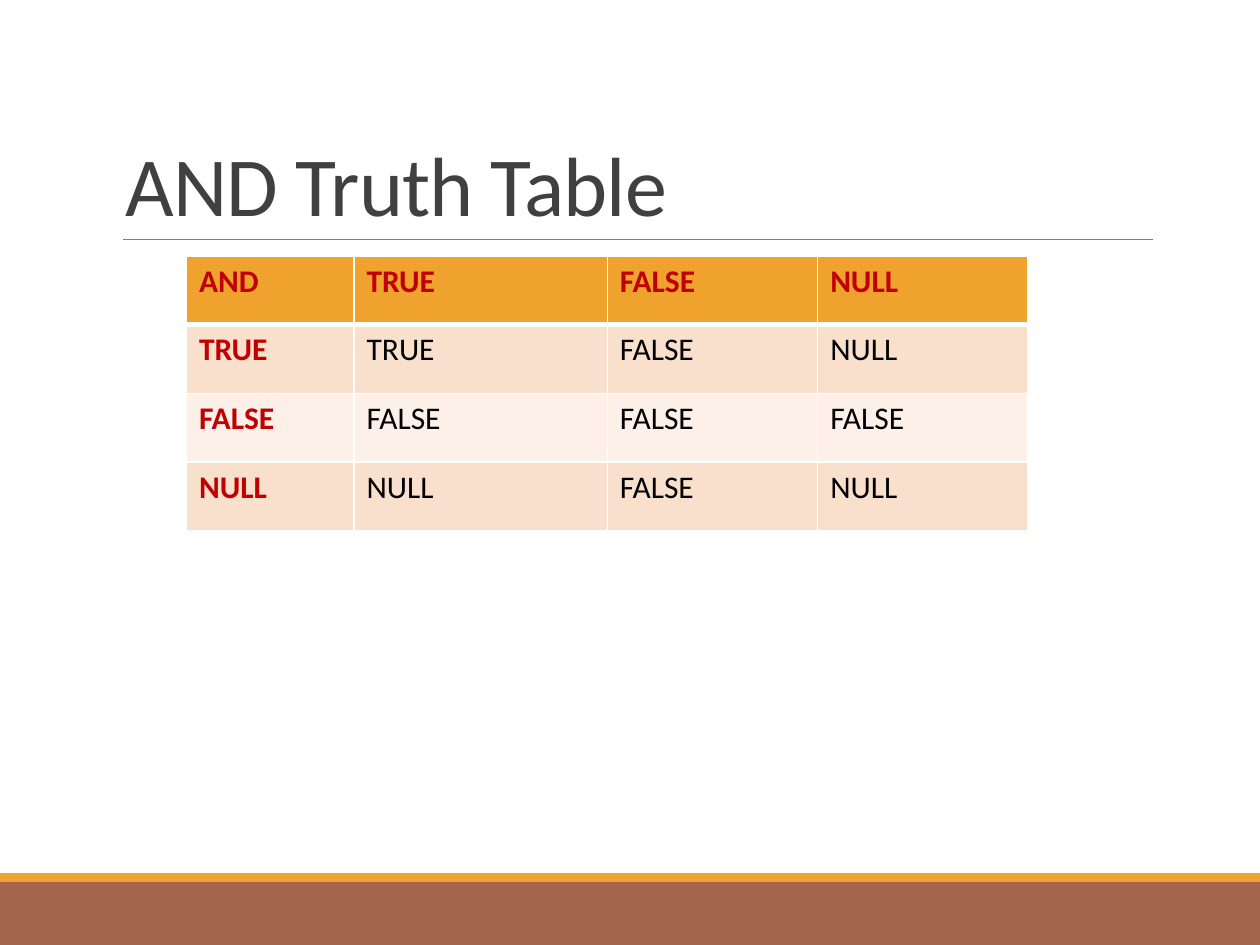
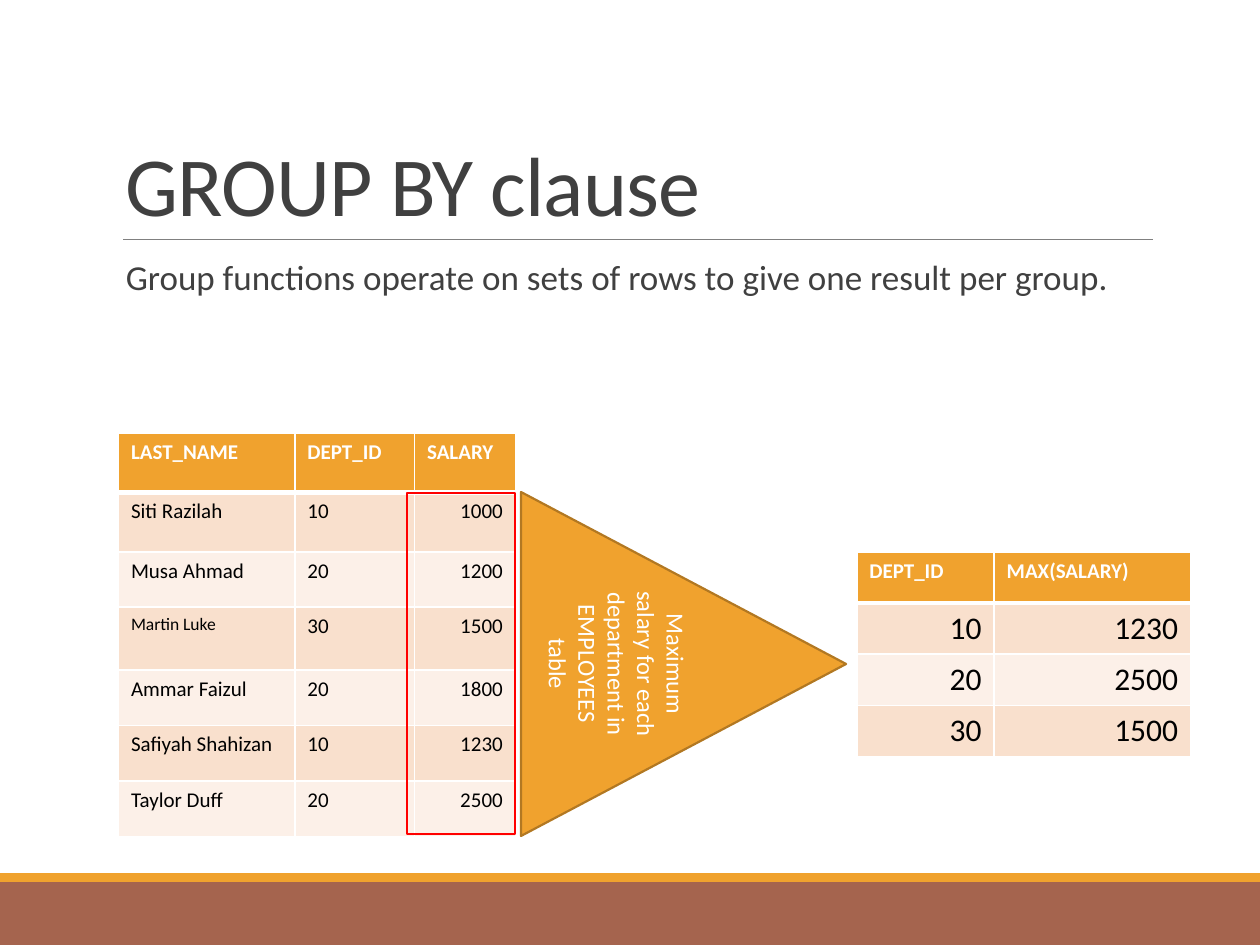
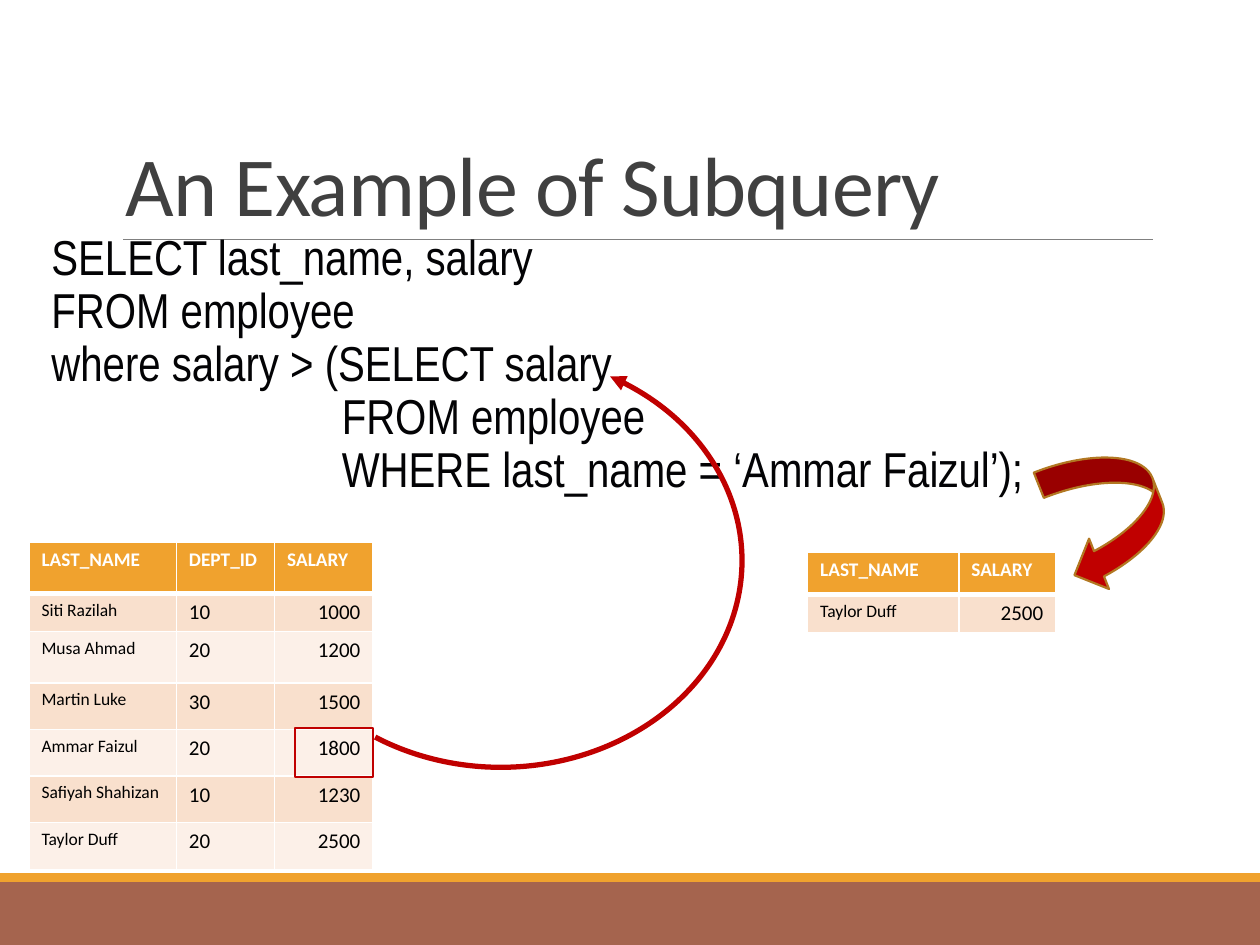
from lxml.etree import SubElement
from pptx import Presentation
from pptx.dml.color import RGBColor
from pptx.enum.shapes import MSO_CONNECTOR, MSO_SHAPE as SHAPE
from pptx.enum.text import MSO_ANCHOR as ANCHOR, PP_ALIGN as ALIGN
from pptx.oxml.ns import qn
from pptx.util import Inches, Pt

# Shared style
FONT, CODE_FONT = "Calibri", "Arial Narrow"
WHITE, BLACK, TEXT, RULE = "FFFFFF", "000000", "404040", "808080"
AMBER, AMBER_DARK, BROWN = "F0A22E", "B27822", "A5644E"
ROW_ODD, ROW_EVEN = "F9E0CD", "FCF0E8"
RED, BRIGHT_RED, CODE_INK = "C00000", "FF0000", "030305"
COLS, ROWS = 100, 75

# Content used by several slides
HEADERS = ["LAST_NAME", "DEPT_ID", "SALARY"]
EMPLOYEES = [
    ["Siti Razilah", "10", "1000"],
    ["Musa Ahmad", "20", "1200"],
    ["Martin Luke", "30", "1500"],
    ["Ammar Faizul", "20", "1800"],
    ["Safiyah Shahizan", "10", "1230"],
    ["Taylor Duff", "20", "2500"],
]
QUERY = """SELECT last_name, salary
FROM employee
where salary > (SELECT salary
                          FROM employee
                          WHERE last_name = ‘Ammar Faizul’);"""


def rgb(value):
    return RGBColor.from_string(value)


def write(tf, text, size=18, color=BLACK, font=FONT, bold=False,
          align=ALIGN.LEFT, leading=None, tracking=None):
    """Write one paragraph per line of text."""
    for i, line in enumerate(text.split("\n")):
        p = tf.add_paragraph() if i else tf.paragraphs[0]
        p.alignment = align
        if leading:
            p.line_spacing = leading
        r = p.add_run()
        r.text = line
        r.font.name, r.font.size, r.font.bold = font, Pt(size), bold
        r.font.color.rgb = rgb(color)
        if tracking:
            r.font._element.set("spc", str(int(tracking * 100)))


def set_border(cell, sides):
    """Draw white cell borders; sides maps a tag such as lnL to points."""
    tc_pr = cell._tc.get_or_add_tcPr()
    for i, (tag, points) in enumerate(sides.items()):
        ln = SubElement(tc_pr, qn(f"a:{tag}"), w=str(Pt(points)))
        fill = SubElement(ln, qn("a:solidFill"))
        SubElement(fill, qn("a:srgbClr"), val=WHITE)
        tc_pr.insert(i, ln)  # borders come before the cell fill


class Deck:
    """Holds the style and the current slide; lengths are grid cells."""

    def __init__(self):
        self.prs = Presentation()
        self.prs.slide_width, self.prs.slide_height = Inches(10), Inches(7.5)
        self.s = None

    def x(self, cols):
        return round(self.prs.slide_width * cols / COLS)

    def y(self, rows):
        return round(self.prs.slide_height * rows / ROWS)

    def box(self, x, y, w, h):
        return self.x(x), self.y(y), self.x(w), self.y(h)

    def slide(self, title):
        self.s = self.prs.slides.add_slide(self.prs.slide_layouts[6])
        self.shape(SHAPE.RECTANGLE, 0, 70, COLS, 5, fill=BROWN)
        self.shape(SHAPE.RECTANGLE, 0, 69.3, COLS, 0.7, fill=AMBER)
        self.rule(9.8, 19, 91.5)
        self.text(title, 9, 3.1, 82.5, 15.9, anchor=ANCHOR.BOTTOM, size=48,
                  color=TEXT, leading=0.85, tracking=-0.5)

    def rule(self, x, y, right):
        sp = self.s.shapes.add_connector(
            MSO_CONNECTOR.STRAIGHT, self.x(x), self.y(y), self.x(right), self.y(y))
        sp.line.color.rgb, sp.line.width = rgb(RULE), Pt(0.5)
        SubElement(sp._element.spPr, qn("a:effectLst"))

    def text(self, text, x, y, w, h, anchor=ANCHOR.TOP, **fmt):
        tf = self.s.shapes.add_textbox(*self.box(x, y, w, h)).text_frame
        tf.word_wrap, tf.vertical_anchor = True, anchor
        write(tf, text, **fmt)

    def shape(self, kind, x, y, w, h, fill=None, line=None, width=1.25, rotation=0):
        sp = self.s.shapes.add_shape(kind, *self.box(x, y, w, h))
        sp.shadow.inherit = False
        sp.rotation = rotation
        if fill:
            sp.fill.solid()
            sp.fill.fore_color.rgb = rgb(fill)
        else:
            sp.fill.background()
        if line:
            sp.line.color.rgb, sp.line.width = rgb(line), Pt(width)
        else:
            sp.line.fill.background()
        return sp

    def table(self, x, y, widths, heights, data, head, look):
        """head formats the first row; look(row, col) formats the others."""
        table = self.s.shapes.add_table(
            len(heights), len(widths),
            *self.box(x, y, sum(widths), sum(heights))).table
        for col, w in zip(table.columns, widths):
            col.width = self.x(w)
        for row, h in zip(table.rows, heights):
            row.height = self.y(h)
        for i, values in enumerate(data):
            for j, value in enumerate(values):
                cell = table.cell(i, j)
                cell.fill.solid()
                cell.fill.fore_color.rgb = rgb(
                    (ROW_ODD if i % 2 else ROW_EVEN) if i else AMBER)
                sides = {"lnL": 1, "lnR": 1}
                sides.update({"lnB": 1} if i else {"lnT": 1, "lnB": 3})
                set_border(cell, sides)
                fmt = look(i, j) if i else {"color": WHITE, "bold": True, **head}
                write(cell.text_frame, value, **fmt)


def and_table(deck):
    deck.slide("AND Truth Table")
    data = [["AND", "TRUE", "FALSE", "NULL"],
            ["TRUE", "TRUE", "FALSE", "NULL"],
            ["FALSE", "FALSE", "FALSE", "FALSE"],
            ["NULL", "NULL", "FALSE", "NULL"]]
    label = {"color": RED, "bold": True}
    deck.table(14.8, 20.3, [13.3, 20.1, 16.7, 16.7], [5.46] * 4, data,
               head=label, look=lambda i, j: {} if j else label)


def group_by(deck):
    deck.slide("GROUP BY clause")
    deck.text("Group functions operate on sets of rows to give one result per group.",
              9, 20.2, 82.5, 44, size=20, color=TEXT, leading=0.9)

    # All employees, with the salaries framed
    deck.table(9.4, 34.4, [14, 9.5, 8], [4.7, 4.7, 4.4, 5, 4.4, 4.4, 4.4],
               [HEADERS] + EMPLOYEES, head={"size": 12},
               look=lambda i, j: {"size": 10 if (i, j) == (3, 0) else 12,
                                  "align": ALIGN.RIGHT if j == 2 else ALIGN.LEFT})
    deck.shape(SHAPE.RECTANGLE, 32.3, 39.1, 8.6, 27.1, line=BRIGHT_RED)

    # Funnel to the result
    funnel = deck.shape(SHAPE.ISOSCELES_TRIANGLE, 40.6, 39.8, 27.3, 25.8,
                        fill=AMBER, line=AMBER_DARK, rotation=90)
    tf = funnel.text_frame
    tf.word_wrap, tf.vertical_anchor = True, ANCHOR.MIDDLE
    tf.margin_bottom = deck.y(2.9)
    write(tf, "Maximum salary for each department in EMPLOYEES table",
          size=14, color=WHITE, align=ALIGN.CENTER)

    # Highest salary of each department
    deck.table(68, 43.8, [10.9, 15.6], [4.06] * 4,
               [["DEPT_ID", "MAX(SALARY)"], ["10", "1230"], ["20", "2500"], ["30", "1500"]],
               head={"size": 12}, look=lambda i, j: {"align": ALIGN.RIGHT})


def subquery(deck):
    deck.slide("An Example of Subquery")
    deck.text(QUERY, 3.1, 18, 93.8, 22.2, size=28, font=CODE_FONT,
              color=CODE_INK, leading=0.9)

    def look(last):
        return lambda i, j: {"size": 12 if j else 10,
                             "align": ALIGN.RIGHT if j == last else ALIGN.LEFT}

    # Result and source tables
    deck.table(64.1, 43.8, [12, 7.7], [3.4, 3],
               [["LAST_NAME", "SALARY"], ["Taylor Duff", "2500"]],
               head={"size": 11}, look=look(1))
    deck.table(2.3, 43, [11.7, 7.8, 7.8], [4.1, 3, 4.1] + [3.7] * 4,
               [HEADERS] + EMPLOYEES, head={"size": 11}, look=look(2))

    # Arrows from the inner query's salary and to the result
    deck.shape(SHAPE.CURVED_DOWN_ARROW, 82.6, 36.7, 10.9, 8.6,
               fill=RED, line=AMBER_DARK, rotation=68.4)
    deck.shape(SHAPE.RECTANGLE, 23.4, 57.8, 6.2, 3.9, line=RED)
    arc = deck.shape(SHAPE.ARC, 20.6, 28.1, 38.3, 32.8, line=RED, width=3)
    arc.adjustments[0], arc.adjustments[1] = 180.42, 75.27
    SubElement(arc.line._get_or_add_ln(), qn("a:headEnd"), type="triangle")


def main():
    deck = Deck()
    for build in (and_table, group_by, subquery):
        build(deck)
    deck.prs.save("out.pptx")


if __name__ == "__main__":
    main()
